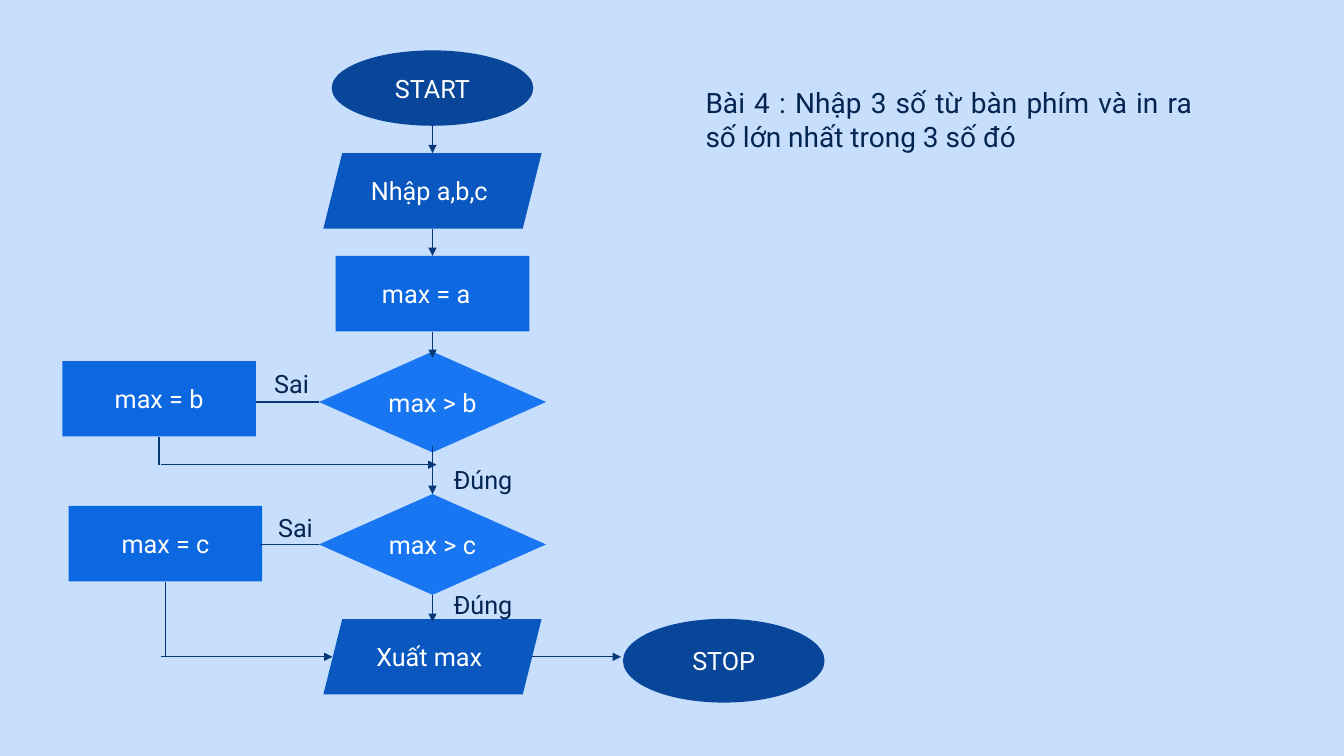
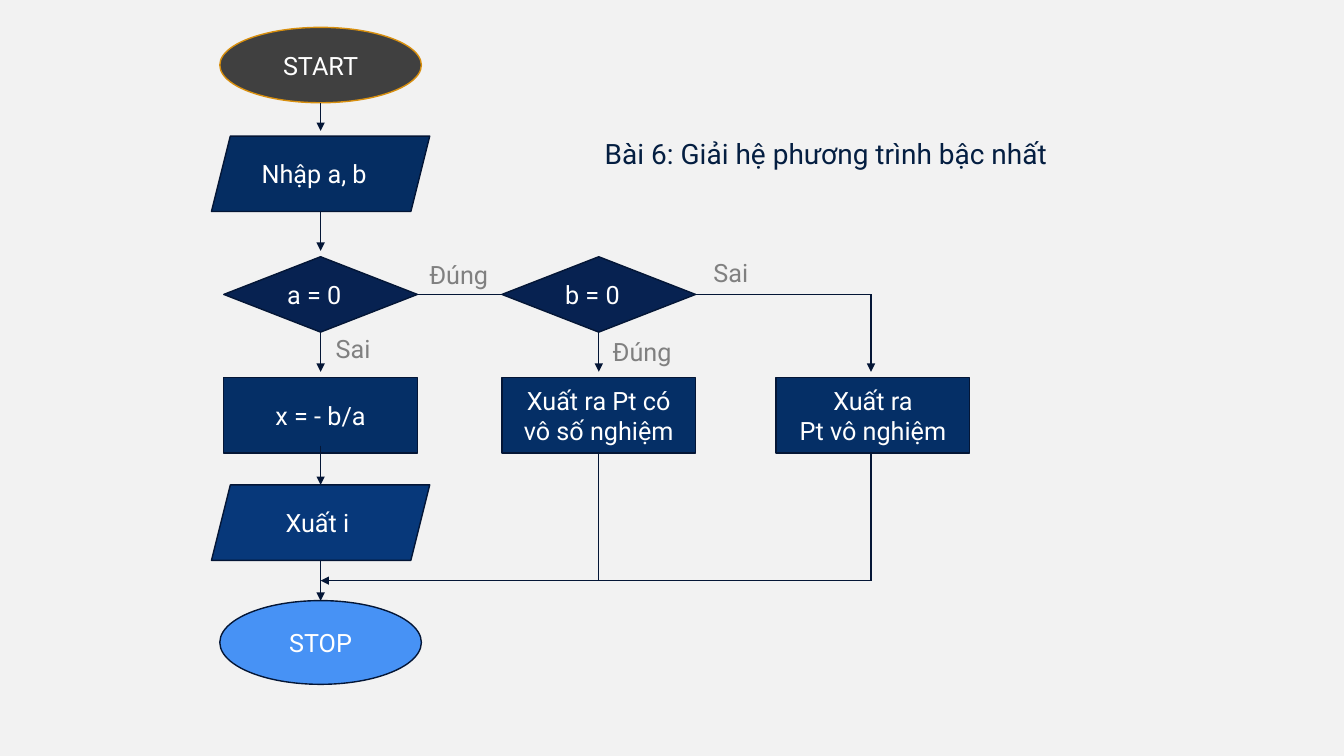
from dataclasses import dataclass

from lxml.etree import SubElement
from pptx import Presentation
from pptx.dml.color import RGBColor
from pptx.enum.shapes import MSO_CONNECTOR, MSO_SHAPE
from pptx.enum.text import MSO_ANCHOR, MSO_AUTO_SIZE, PP_ALIGN
from pptx.oxml.ns import qn
from pptx.util import Cm, Pt

FONT = "Roboto"
SPACE = 0.16  # width of one blank at 18 pt, in cm
WHITE = "FFFFFF"
MAX_COLORS = {
    "background": "C7DEFC", "title": "042552", "label": "042552",
    "line": "07387A", "start": "084699", "stop": "084699",
    "input": "0A58BF", "output": "0A58BF", "step": "0C68E1", "test": "1876F2",
}
EQUATION_COLORS = {
    "background": "F2F2F2", "title": "041E41", "label": "808080",
    "line": "041636", "start": "404040", "stop": "4792F5",
    "input": "052D62", "output": "07387A", "step": "052F66", "test": "072251",
    "border": "041636", "start border": "D88F0E",
}
# role: preset shape, width and height in cm
SYMBOLS = {
    "start": (MSO_SHAPE.OVAL, 5.08, 1.9),
    "stop": (MSO_SHAPE.OVAL, 5.08, 2.11),
    "input": (MSO_SHAPE.PARALLELOGRAM, 5.5, 1.9),
    "output": (MSO_SHAPE.PARALLELOGRAM, 5.5, 1.9),
    "step": (MSO_SHAPE.RECTANGLE, 4.88, 1.9),
    "test": (MSO_SHAPE.DIAMOND, 4.88, 1.9),
}


@dataclass
class Box:
    """A region of a slide, in cm."""
    left: float
    top: float
    width: float
    height: float

    def at(self, x, y):
        """Turn a point of the region into slide lengths."""
        return Cm(self.left + x), Cm(self.top + y)


def rgb(value):
    """Turn a hex string into a colour."""
    return RGBColor.from_string(value)


def write(frame, text, color, size=18, align=PP_ALIGN.LEFT,
          anchor=MSO_ANCHOR.TOP, wrap=True, margins=(0, 0, 0, 0)):
    """Fill a text frame, one paragraph per line of text."""
    frame.text = text
    frame.auto_size = MSO_AUTO_SIZE.NONE
    frame.word_wrap = wrap
    frame.vertical_anchor = anchor
    (frame.margin_left, frame.margin_top,
     frame.margin_right, frame.margin_bottom) = map(Cm, margins)
    for paragraph in frame.paragraphs:
        paragraph.alignment = align
        font = paragraph.runs[0].font
        font.name, font.size, font.color.rgb = FONT, Pt(size), rgb(color)


@dataclass
class Flowchart:
    """Draws symbols, flows and labels inside a box of a slide."""
    slide: object
    box: Box
    colors: dict

    def symbol(self, role, text, x, y, size=None, shift=0):
        """Place a symbol by its centre; shift moves its text left."""
        preset, width, height = SYMBOLS[role]
        width, height = size or (width, height)
        corner = self.box.at(x - width / 2, y - height / 2)
        shape = self.slide.shapes.add_shape(preset, *corner, Cm(width), Cm(height))
        shape.shadow.inherit = False
        shape.fill.solid()
        shape.fill.fore_color.rgb = rgb(self.colors[role])
        border = self.colors.get(role + " border", self.colors.get("border"))
        if border:
            shape.line.color.rgb = rgb(border)
            shape.line.width = Pt(1)
        else:
            shape.line.fill.background()
        write(shape.text_frame, text, WHITE, align=PP_ALIGN.CENTER,
              anchor=MSO_ANCHOR.MIDDLE,
              margins=(0.25, 0.13, 0.25 + shift, 0.13))

    def flow(self, start, end, arrow=True):
        """Draw a line between two points, with an arrowhead if wanted."""
        line = self.slide.shapes.add_connector(
            MSO_CONNECTOR.STRAIGHT, *self.box.at(*start), *self.box.at(*end))
        line.line.color.rgb = rgb(self.colors["line"])
        line.line.width = Pt(1)
        if arrow:
            SubElement(line.line._get_or_add_ln(), qn("a:tailEnd"), type="triangle")
        SubElement(line._element.spPr, qn("a:effectLst"))

    def down(self, x, *spans):
        """Draw downward arrows in one column."""
        for top, bottom in spans:
            self.flow((x, top), (x, bottom))

    def label(self, text, x, y):
        """Name the outcome of a test."""
        label = self.slide.shapes.add_textbox(*self.box.at(x, y), Cm(1.65), Cm(0.76))
        write(label.text_frame, text, self.colors["label"], wrap=False)


def add_exercise(deck, title, title_box, colors, **title_format):
    """Add a slide with its background and title."""
    slide = deck.slides.add_slide(deck.slide_layouts[5])
    slide.background.fill.solid()
    slide.background.fill.fore_color.rgb = rgb(colors["background"])
    heading = slide.shapes.title
    heading.left, heading.top = title_box.at(0, 0)
    heading.width, heading.height = Cm(title_box.width), Cm(title_box.height)
    write(heading.text_frame, title, colors["title"], size=20, **title_format)
    return slide


def draw_maximum(slide, box):
    """Flowchart that finds the largest of three numbers."""
    chart = Flowchart(slide, box, MAX_COLORS)
    main, b_column, c_column = 9.32, 2.43, 2.59
    b_row, c_row, output_row, merge_row = 8.86, 12.45, 15.28, 10.44
    test_size = (5.72, 2.54)

    chart.symbol("start", "START", main, 0.95)
    chart.symbol("input", "Nhập a,b,c", main, 3.54, shift=SPACE)
    chart.symbol("step", "max = a", main, 6.13, shift=2 * SPACE)
    chart.symbol("test", "max > b", main, b_row, size=test_size)
    chart.symbol("test", "max > c", main, c_row, size=test_size)
    chart.symbol("output", "Xuất max", main, output_row, shift=SPACE)
    chart.symbol("stop", "STOP", 16.66, 15.38)
    chart.symbol("step", "max = b", b_column, 8.78)
    chart.symbol("step", "max = c", c_column, 12.43)

    chart.down(main, (1.91, 2.59), (4.5, 5.18), (7.09, 7.75),
               (9.96, 11.18), (13.72, 14.4))
    chart.flow((11.83, output_row), (14.07, output_row))
    for column, row, side, bottom, turn, end in (
            (b_column, b_row, 4.87, 9.73, merge_row, 9.42),
            (c_column, c_row, 4.97, 13.39, output_row, 6.8)):
        chart.flow((6.47, row), (side, row), arrow=False)
        chart.flow((column, bottom), (column, turn), arrow=False)
        chart.flow((2.48, turn), (end, turn))

    for text, x, y in (("Đúng", 9.85, 10.44), ("Đúng", 9.85, 13.59),
                       ("Sai", 5.33, 8), ("Sai", 5.43, 11.63)):
        chart.label(text, x, y)


def draw_equation(slide, box):
    """Flowchart that solves a first-degree equation."""
    chart = Flowchart(slide, box, EQUATION_COLORS)
    main, infinite, none = 2.77, 9.78, 16.64
    test_row, result_row, merge_row = 6.73, 9.78, 13.94

    chart.symbol("start", "START", main, 0.95)
    chart.symbol("input", "Nhập a, b", main, 3.69, shift=2 * SPACE)
    chart.symbol("test", "a = 0", main, test_row, shift=2 * SPACE)
    chart.symbol("test", "b = 0", infinite, test_row, shift=2 * SPACE)
    chart.symbol("step", "x = - b/a", main, result_row)
    chart.symbol("step", "Xuất ra Pt có vô số nghiệm", infinite, result_row)
    chart.symbol("step", "Xuất ra\nPt vô nghiệm", none + 0.05, result_row)
    chart.symbol("output", "Xuất i", main, 12.48, shift=SPACE)
    chart.symbol("stop", "STOP", main, 15.5)

    chart.down(main, (1.9, 2.61), (4.64, 5.63), (7.67, 8.68),
               (10.54, 11.53), (13.43, 14.45))
    chart.down(infinite, (7.67, 8.68))
    chart.down(none, (test_row, 8.68))
    chart.flow((5.18, test_row), (7.39, test_row), arrow=False)
    chart.flow((12.19, test_row), (none, test_row), arrow=False)
    for column in (infinite, none):
        chart.flow((column, 10.74), (column, merge_row), arrow=False)
    chart.flow((none, merge_row), (main, merge_row))

    for text, x, y in (("Đúng", 5.51, 5.84), ("Đúng", 10.13, 7.79),
                       ("Sai", 3.15, 7.72), ("Sai", 12.67, 5.79)):
        chart.label(text, x, y)


def main():
    """Build and save the deck."""
    deck = Presentation()
    deck.slide_width, deck.slide_height = Cm(33.87), Cm(19.05)
    maximum = add_exercise(
        deck, "Bài 4 : Nhập 3 số từ bàn phím và in ra số lớn nhất trong 3 số đó",
        Box(17.78, 2.16, 12.27, 1.7), MAX_COLORS, align=PP_ALIGN.JUSTIFY)
    draw_maximum(maximum, Box(1.58, 1.27, 19.2, 16.43))
    equation = add_exercise(
        deck, "Bài 6: Giải hệ phương trình bậc nhất",
        Box(15.24, 3.43, 11.25, 0.86), EQUATION_COLORS, wrap=False)
    draw_equation(equation, Box(5.31, 0.69, 19.13, 16.56))
    deck.save("out.pptx")


main()
